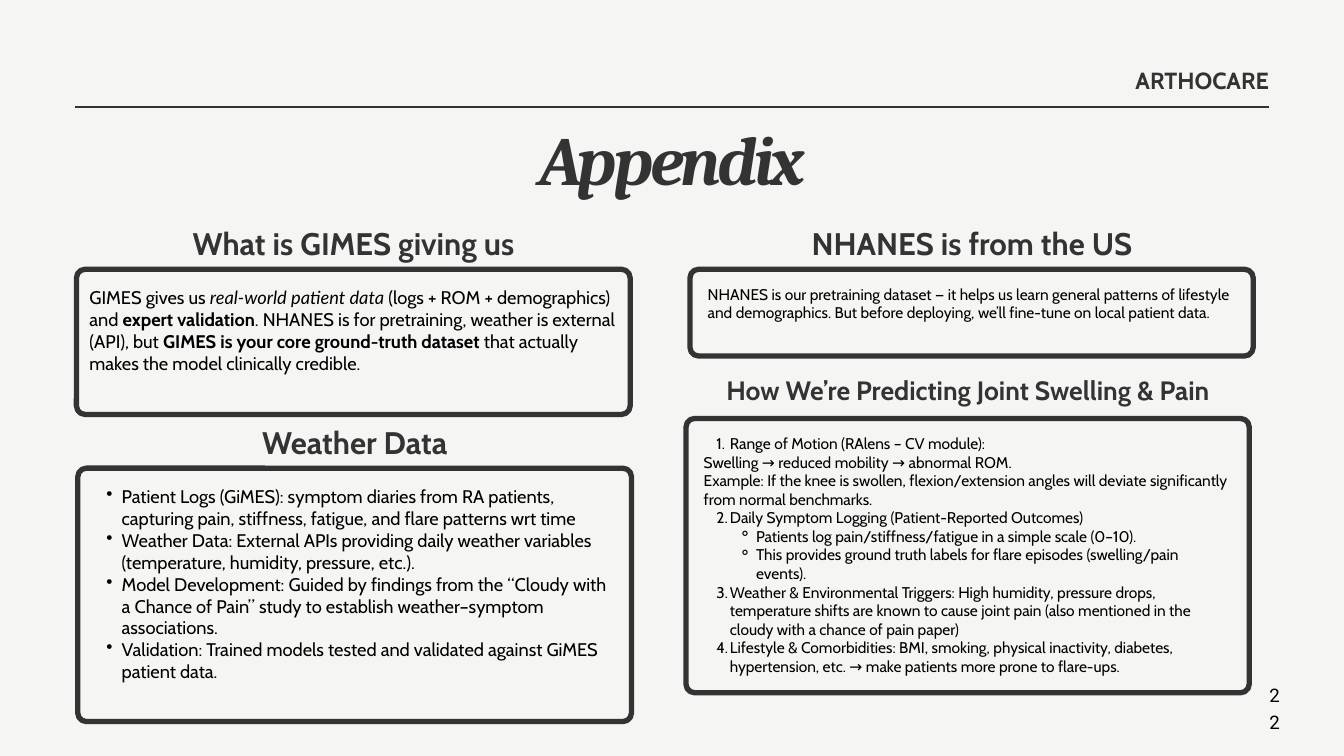
import pptx
import pptx.dml.color
import pptx.enum.shapes
import pptx.enum.text
import pptx.oxml.ns
import pptx.util
from lxml import etree

Cm, Pt = pptx.util.Cm, pptx.util.Pt
ALIGN = pptx.enum.text.PP_ALIGN
COLORS = {"paper": "F5F5F4", "dark": "333333", "black": "000000"}

# Offsets from a frame's corner, which differ between the two columns
LEFT = {"width": 20.93, "head_dx": 0.16, "body_dx": 0.49, "body_dy": 0.64, "size": 19.6}
RIGHT = {"width": 21.29, "head_dx": 0.35, "body_dx": 0.67, "body_dy": 0.59, "size": 16.6}

# List kinds: level, left margin, indent (cm), bullet element, its attributes
LISTS = {
    "bullet": (1, 1.17, -0.58, "a:buChar", {"char": "•"}),
    "number": (1, 0.99, -0.51, "a:buAutoNum", {"type": "arabicPeriod"}),
    "circle": (2, 1.98, -0.66, "a:buChar", {"char": "⚬"}),
}

GIMES = [("plain", [
    ("GIMES gives us ", {}),
    ("real-world patient data", {"name": "Lato", "italic": True}),
    (" (logs + ROM + demographics) and ", {}),
    ("expert validation", {"bold": True}),
    (". NHANES is for pretraining, weather is external (API), but ", {}),
    ("GIMES is your core ground-truth dataset", {"bold": True}),
    (" that actually makes the model clinically credible.", {}),
])]
NHANES = [("plain", "NHANES is our pretraining dataset — it helps us learn general patterns of "
           "lifestyle and demographics. But before deploying, we’ll fine-tune on local patient data.")]
WEATHER = [
    ("bullet", "Patient Logs (GiMES): symptom diaries from RA patients, capturing pain, "
     "stiffness, fatigue, and flare patterns wrt time"),
    ("bullet", "Weather Data: External APIs providing daily weather variables "
     "(temperature, humidity, pressure, etc.)."),
    ("bullet", "Model Development: Guided by findings from the “Cloudy with a Chance of Pain” "
     "study to establish weather–symptom associations."),
    ("bullet", "Validation: Trained models tested and validated against GiMES patient data."),
]
PREDICTING = [
    ("number", "Range of Motion (RAlens – CV module):"),
    ("plain", "Swelling → reduced mobility → abnormal ROM."),
    ("plain", "Example: If the knee is swollen, flexion/extension angles will deviate "
     "significantly from normal benchmarks."),
    ("number", "Daily Symptom Logging (Patient-Reported Outcomes)"),
    ("circle", "Patients log pain/stiffness/fatigue in a simple scale (0–10)."),
    ("circle", "This provides ground truth labels for flare episodes (swelling/pain events)."),
    ("number", "Weather & Environmental Triggers: High humidity, pressure drops, temperature "
     "shifts are known to cause joint pain (also mentioned in the cloudy with a chance of pain paper)"),
    ("number", "Lifestyle & Comorbidities: BMI, smoking, physical inactivity, diabetes, "
     "hypertension, etc. → make patients more prone to flare-ups."),
]


def rgb(name):
    return pptx.dml.color.RGBColor.from_string(COLORS[name])


def set_list(p, kind, number):
    level, margin, indent, tag, attrs = LISTS[kind]
    p.level = level
    pPr = p._p.get_or_add_pPr()
    pPr.set("marL", str(Cm(margin)))
    pPr.set("indent", str(Cm(indent)))
    bullet = etree.SubElement(pPr, pptx.oxml.ns.qn(tag), attrs)
    if kind == "number" and number > 1:
        bullet.set("startAt", str(number))


def add_text(s, box, paragraphs, size, color="dark", align=ALIGN.LEFT, spacing=1.2, **font):
    tf = s.shapes.add_textbox(*map(Cm, box)).text_frame
    tf.word_wrap = True
    tf.margin_left = tf.margin_top = tf.margin_right = tf.margin_bottom = 0
    number = 0
    for i, (kind, runs) in enumerate(paragraphs):
        p = tf.paragraphs[0] if i == 0 else tf.add_paragraph()
        p.alignment, p.line_spacing = align, Pt(round(size * spacing, 1))
        if kind in LISTS:
            number += kind == "number"
            set_list(p, kind, number)
        for text, extra in [(runs, {})] if isinstance(runs, str) else runs:
            r = p.add_run()
            r.text = text
            r.font.color.rgb = rgb(color)
            formats = {"name": "Cabin", "size": Pt(size), **font, **extra}
            for key, value in formats.items():
                setattr(r.font, key, value)
    return tf


def add_frame(s, x, y, width, height):
    sp = s.shapes.add_shape(pptx.enum.shapes.MSO_SHAPE.ROUNDED_RECTANGLE,
                            Cm(x), Cm(y), Cm(width), Cm(height))
    sp.shadow.inherit = False
    sp.adjustments[0] = 0.33 / min(width, height)
    sp.fill.background()
    sp.line.color.rgb = rgb("dark")
    sp.line.width = Pt(5.7)


def add_panel(s, column, x, y, height, heading, body, heading_size=33.4):
    add_frame(s, x, y, column["width"], height)
    add_text(s, (x + column["head_dx"], y - 1.7, 20.62, 1.42), [("plain", heading)],
             heading_size, align=ALIGN.CENTER, bold=True)
    dy = column["body_dy"]
    add_text(s, (x + column["body_dx"], y + dy, 19.96, height - dy), body,
             column["size"], "black")


def add_rule(s, x1, x2, y):
    line = s.shapes.add_connector(pptx.enum.shapes.MSO_CONNECTOR.STRAIGHT,
                                  Cm(x1), Cm(y), Cm(x2), Cm(y))
    line.line.color.rgb = rgb("dark")
    line.line.width = Pt(2.25)
    etree.SubElement(line._element.spPr, pptx.oxml.ns.qn("a:effectLst"))


def main():
    prs = pptx.Presentation()
    prs.slide_width, prs.slide_height = Cm(50.8), Cm(28.58)
    s = prs.slides.add_slide(prs.slide_layouts[6])
    s.background.fill.solid()
    s.background.fill.fore_color.rgb = rgb("paper")

    # Header and title
    add_rule(s, 2.84, 47.96, 4.04)
    add_text(s, (33.96, 2.34, 14, 1.19), [("plain", "ARTHOCARE")], 25,
             align=ALIGN.RIGHT, spacing=1.4, bold=True)
    tf = add_text(s, (8.28, 4.42, 34.24, 3.1), [("plain", "Appendix")], 74,
                  align=ALIGN.CENTER, name="Cambria", bold=True, italic=True)
    tf.paragraphs[0].runs[0].font._element.set("spc", "-360")

    # Panels
    add_panel(s, LEFT, 2.89, 10.18, 5.49, "What is GIMES giving us", GIMES)
    add_panel(s, LEFT, 2.94, 17.7, 9.58, "Weather Data", WEATHER)
    add_panel(s, RIGHT, 26.08, 10.18, 3.28, "NHANES is from the US", NHANES)
    add_panel(s, RIGHT, 25.93, 15.82, 10.37, "How We’re Predicting Joint Swelling & Pain",
              PREDICTING, 28.4)

    # Page number, one digit per line in its narrow box
    add_text(s, (47.96, 25.73, 0.43, 0.56), [("plain", "22")], 20, "black",
             ALIGN.CENTER, 1.4, name="Roboto")
    prs.save("out.pptx")


if __name__ == "__main__":
    main()
